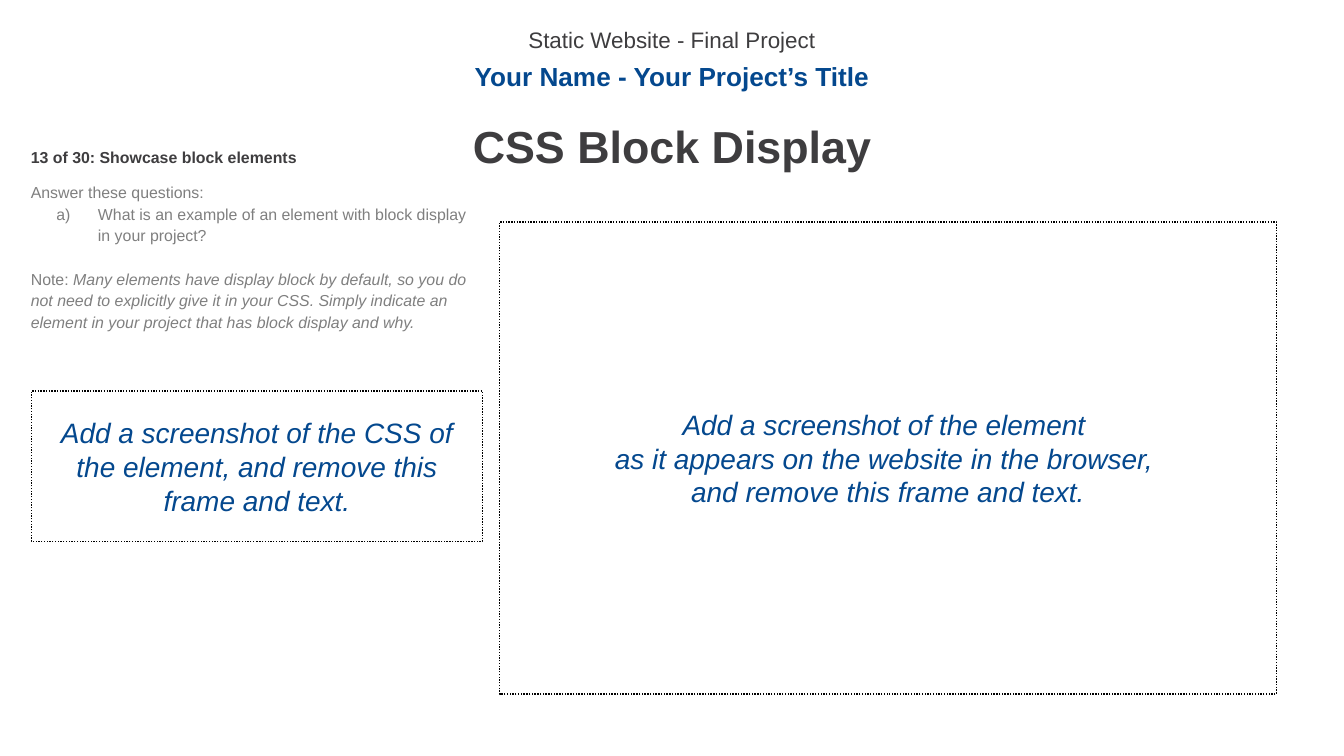
from pptx import Presentation
from pptx.dml.color import RGBColor
from pptx.enum.dml import MSO_LINE_DASH_STYLE as Dash
from pptx.enum.shapes import MSO_SHAPE as Shape
from pptx.enum.text import MSO_ANCHOR as Anchor, MSO_AUTO_SIZE as AutoSize, PP_ALIGN as Align
from pptx.oxml.ns import qn
from pptx.util import Pt
from lxml.etree import SubElement

COLORS = {"blue": "04488E", "dark": "3E3D3F", "gray": "7F7F7F", "line": "000000"}
FONT = "Arial"
LINE_SPACING = 1.14
NOTE_SIZE = 8.5


def place(shape, left, top, width, height):
    shape.left, shape.top = Pt(left), Pt(top)
    shape.width, shape.height = Pt(width), Pt(height)


def prepare_frame(shape, anchor=Anchor.TOP, inset=3.6):
    frame = shape.text_frame
    frame.word_wrap = True
    frame.auto_size = AutoSize.NONE
    frame.vertical_anchor = anchor
    frame.margin_left = frame.margin_right = Pt(7.2)
    frame.margin_top = frame.margin_bottom = Pt(inset)
    return frame


def add_run(paragraph, text, size, color, bold=False, italic=False):
    run = paragraph.add_run()
    run.text = text
    run.font.name = FONT
    run.font.size = Pt(size)
    run.font.bold = bold
    run.font.italic = italic
    run.font.color.rgb = RGBColor.from_string(COLORS[color])


def add_text_box(slide, box):
    return slide.shapes.add_textbox(*(Pt(length) for length in box))


def write_heading(shape, text, size, color, bold=True, align=Align.CENTER):
    paragraph = prepare_frame(shape).paragraphs[0]
    paragraph.alignment = align
    paragraph.line_spacing = LINE_SPACING
    add_run(paragraph, text, size, color, bold)


def set_letter_bullet(paragraph):
    properties = paragraph._p.get_or_add_pPr()
    properties.set("marL", str(Pt(36)))
    properties.set("indent", str(-Pt(22.3)))
    bullet_color = SubElement(properties, qn("a:buClr"))
    SubElement(bullet_color, qn("a:srgbClr")).set("val", COLORS["gray"])
    SubElement(properties, qn("a:buFont")).set("typeface", FONT)
    SubElement(properties, qn("a:buAutoNum")).set("type", "alphaLcParenR")


def add_instructions(slide, box):
    frame = prepare_frame(add_text_box(slide, box))
    intro, question, note = frame.paragraphs[0], frame.add_paragraph(), frame.add_paragraph()
    for paragraph in (intro, question, note):
        paragraph.line_spacing = LINE_SPACING
    note.space_before = Pt(11.6)
    set_letter_bullet(question)
    add_run(intro, "Answer these questions:", NOTE_SIZE, "gray")
    add_run(question, "What is an example of an element with block display in your project?",
            NOTE_SIZE, "gray")
    add_run(note, "Note: ", NOTE_SIZE, "gray")
    add_run(note, "Many elements have display block by default, so you do not need to "
            "explicitly give it in your CSS. Simply indicate an element in your project "
            "that has block display and why.", NOTE_SIZE, "gray", italic=True)


def add_screenshot_frame(slide, box, lines):
    shape = slide.shapes.add_shape(Shape.RECTANGLE, *(Pt(length) for length in box))
    shape.shadow.inherit = False
    shape.fill.background()
    shape.line.color.rgb = RGBColor.from_string(COLORS["line"])
    shape.line.width = Pt(0.75)
    shape.line.dash_style = Dash.ROUND_DOT
    frame = prepare_frame(shape, Anchor.MIDDLE, 7.2)
    for index, line in enumerate(lines):
        paragraph = frame.add_paragraph() if index else frame.paragraphs[0]
        paragraph.alignment = Align.CENTER
        add_run(paragraph, line, 15, "blue", italic=True)


def main():
    presentation = Presentation()
    presentation.slide_width, presentation.slide_height = Pt(720), Pt(405)
    slide = presentation.slides.add_slide(presentation.slide_layouts[5])

    title = slide.shapes.title
    place(title, 143.3, 56.2, 433.4, 32.4)
    write_heading(title, "CSS Block Display", 24, "dark")

    write_heading(add_text_box(slide, (143.3, 8.6, 433.4, 17.3)),
                  "Static Website - Final Project", 12, "dark", bold=False)
    write_heading(add_text_box(slide, (143.3, 26.6, 433.4, 25.9)),
                  "Your Name - Your Project’s Title", 14, "blue")
    write_heading(add_text_box(slide, (9.4, 74.2, 248.4, 18)),
                  "13 of 30: Showcase block elements", NOTE_SIZE, "dark", align=Align.LEFT)
    add_instructions(slide, (9.4, 92.9, 248.4, 105.8))

    add_screenshot_frame(slide, (267.6, 118.9, 416.2, 252.9), [
        "Add a screenshot of the element ",
        "as it appears on the website in the browser, ",
        "and remove this frame and text.",
    ])
    add_screenshot_frame(slide, (16.8, 209.5, 241.8, 80.6), [
        "Add a screenshot of the CSS of the element, and remove this frame and text.",
    ])
    presentation.save("out.pptx")


if __name__ == "__main__":
    main()
